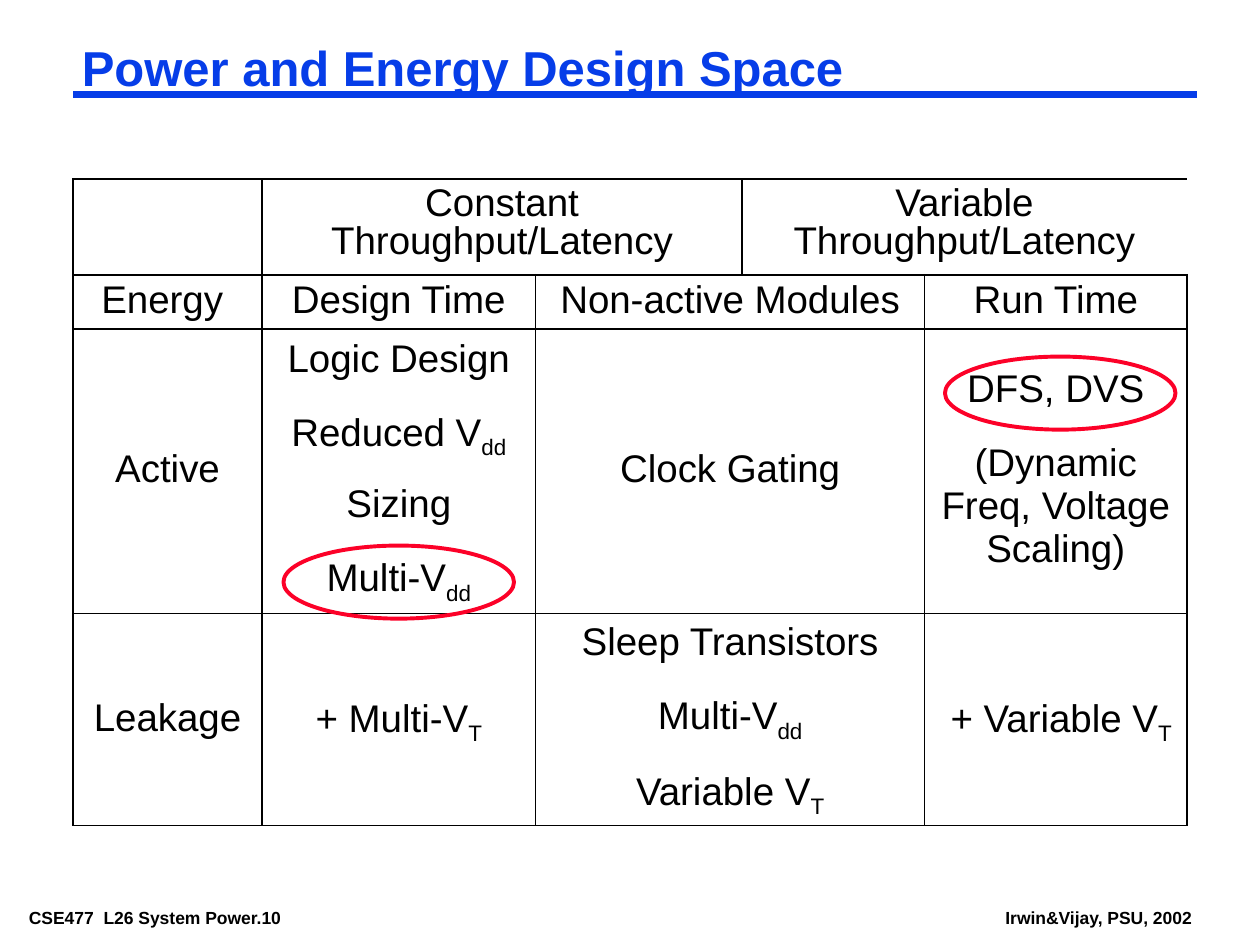
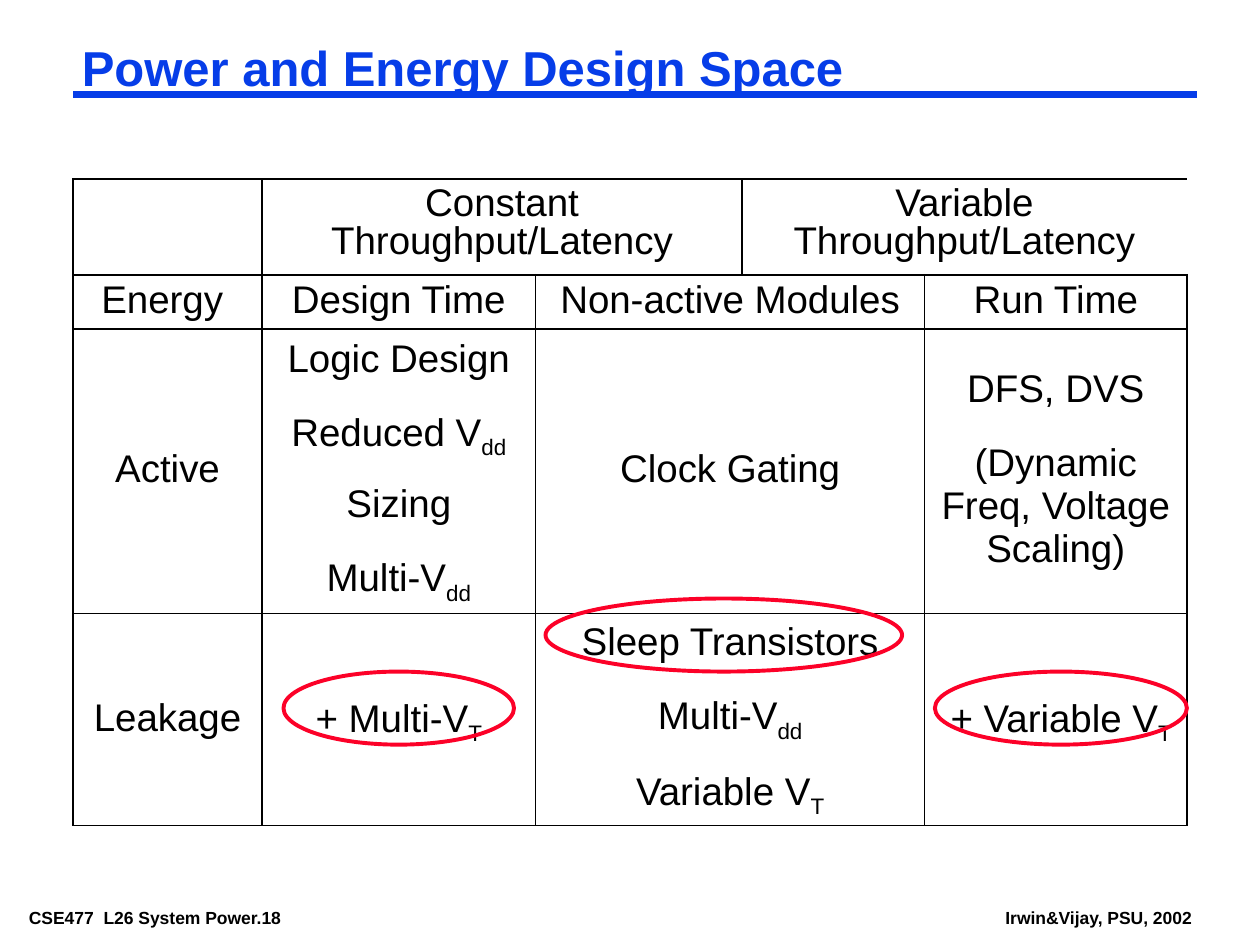
from lxml.etree import SubElement
from pptx import Presentation
from pptx.dml.color import RGBColor
from pptx.enum.shapes import MSO_CONNECTOR, MSO_SHAPE
from pptx.enum.text import MSO_ANCHOR as Anchor, PP_ALIGN as Align
from pptx.oxml.ns import qn
from pptx.util import Inches, Pt

# Shared style
BLUE = RGBColor(0x06, 0x3D, 0xE8)
RED = RGBColor(0xFC, 0x01, 0x28)
BLACK = RGBColor(0, 0, 0)
FONT = "Arial"
TITLE = "Power and Energy Design Space"
TITLE_ONLY_LAYOUT = 5
NO_TABLE_STYLE = "{2D5ABB26-0587-4C30-8999-92F81FD0307C}"

# Table geometry, with line widths in points from left to right and top to bottom
COLUMN_WIDTHS = [1.5, 2.17, 1.64, 1.45, 2.08]
ROW_HEIGHTS = [0.76, 0.43, 2.26, 1.68]
VERTICAL_LINES = [1.08, 1.47, 0.45, 0.45, 0.45, 1.08]
HORIZONTAL_LINES = [1.08, 1.08, 1.47, 0.45, 1.08]

# First column and column count of each cell
HEADER_SPANS = [(0, 1), (1, 2), (3, 2)]
BODY_SPANS = [(0, 1), (1, 1), (2, 2), (4, 1)]

# Paragraphs of each cell; an underscore starts a subscript
DESIGN_SPACE = [
    [[], ["Constant Throughput/Latency"], ["Variable Throughput/Latency"]],
    [["Energy "], ["Design Time"], ["Non-active Modules"], ["Run Time"]],
    [["Active"],
     ["Logic Design", "Reduced V_dd", "Sizing", "Multi-V_dd"],
     ["Clock Gating"],
     ["DFS, DVS", "(Dynamic Freq, Voltage Scaling)"]],
    [["Leakage"],
     ["+ Multi-V_T"],
     ["Sleep Transistors", "Multi-V_dd", "Variable V_T"],
     [" + Variable V_T"]],
]

# Page number, then left, top and width of each highlight
PAGES = [
    (10, [(2.25, 4.33, 1.83), (7.5, 2.83, 1.83)]),
    (18, [(2.25, 5.33, 1.83), (7.42, 5.33, 2), (4.33, 4.75, 2.83)]),
]


def style_font(font, size, color=BLACK, bold=False):
    font.name = FONT
    font.size = Pt(size)
    font.bold = bold
    font.color.rgb = color


def set_margins(text_frame):
    text_frame.margin_left = text_frame.margin_right = Inches(0.07)
    text_frame.margin_top = text_frame.margin_bottom = Inches(0.03)


def add_title(slide):
    title = slide.shapes.title
    title.left, title.top = Inches(0.58), Inches(0.33)
    title.width, title.height = Inches(8.92), Inches(0.46)
    text_frame = title.text_frame
    text_frame.text = TITLE
    text_frame.vertical_anchor = Anchor.TOP
    set_margins(text_frame)
    paragraph = text_frame.paragraphs[0]
    paragraph.alignment = Align.LEFT
    paragraph.line_spacing = 0.87
    style_font(paragraph.runs[0].font, 28, BLUE, bold=True)


def add_title_rule(slide):
    rule = slide.shapes.add_connector(
        MSO_CONNECTOR.STRAIGHT, Inches(0.58), Inches(0.75), Inches(9.5), Inches(0.75))
    rule.line.color.rgb = BLUE
    rule.line.width = Pt(4.5)
    SubElement(rule._element.spPr, qn("a:effectLst"))


def add_footer(slide, text, left, width):
    footer = slide.shapes.add_textbox(
        Inches(left), Inches(7.17), Inches(width), Inches(0.22))
    text_frame = footer.text_frame
    text_frame.word_wrap = True
    set_margins(text_frame)
    text_frame.text = text
    style_font(text_frame.paragraphs[0].runs[0].font, 10, bold=True)


def set_border(cell, side, width):
    properties = cell._tc.get_or_add_tcPr()
    line = SubElement(properties, qn(f"a:ln{side}"), w=str(Pt(width)))
    fill = SubElement(line, qn("a:solidFill"))
    SubElement(fill, qn("a:srgbClr"), val=str(BLACK))


def frame_span(table, row, first, count):
    """Draw the outer lines of a cell that covers count columns."""
    last = first + count - 1
    for column in range(first, last + 1):
        cell = table.cell(row, column)
        if column == first:
            set_border(cell, "L", VERTICAL_LINES[first])
        if column == last:
            set_border(cell, "R", VERTICAL_LINES[last + 1])
        set_border(cell, "T", HORIZONTAL_LINES[row])
        set_border(cell, "B", HORIZONTAL_LINES[row + 1])
        cell.fill.background()


def fill_cell(cell, lines):
    text_frame = cell.text_frame
    for index, line in enumerate(lines):
        paragraph = text_frame.add_paragraph() if index else text_frame.paragraphs[0]
        paragraph.alignment = Align.CENTER
        if index:
            paragraph.space_before = Pt(17.9)
        paragraph.line_spacing = 1.0 if line.startswith("(") else 0.9
        for part, text in enumerate(line.split("_")):
            run = paragraph.add_run()
            run.text = text
            style_font(run.font, 22)
            if part:
                run._r.get_or_add_rPr().set("baseline", "-25000")


def add_design_space_table(slide):
    frame = slide.shapes.add_table(
        len(ROW_HEIGHTS), len(COLUMN_WIDTHS), Inches(0.58), Inches(1.42),
        Inches(sum(COLUMN_WIDTHS)), Inches(sum(ROW_HEIGHTS)))
    table = frame.table
    table.first_row = table.horz_banding = False
    table._tbl.tblPr.find(qn("a:tableStyleId")).text = NO_TABLE_STYLE
    for column, width in zip(table.columns, COLUMN_WIDTHS):
        column.width = Inches(width)
    for row, height in zip(table.rows, ROW_HEIGHTS):
        row.height = Inches(height)

    for row, contents in enumerate(DESIGN_SPACE):
        spans = BODY_SPANS if row else HEADER_SPANS
        for (first, count), lines in zip(spans, contents):
            cell = table.cell(row, first)
            if count > 1:
                cell.merge(table.cell(row, first + count - 1))
            cell.vertical_anchor = Anchor.MIDDLE if row else Anchor.TOP
            fill_cell(cell, lines)
            frame_span(table, row, first, count)


def add_highlight(slide, left, top, width):
    ellipse = slide.shapes.add_shape(
        MSO_SHAPE.OVAL, Inches(left), Inches(top), Inches(width), Inches(0.58))
    ellipse.shadow.inherit = False
    ellipse.fill.background()
    ellipse.line.color.rgb = RED
    ellipse.line.width = Pt(2.25)


def main():
    presentation = Presentation()
    presentation.slide_width = Inches(10)
    presentation.slide_height = Inches(7.5)
    for number, highlights in PAGES:
        slide = presentation.slides.add_slide(
            presentation.slide_layouts[TITLE_ONLY_LAYOUT])
        add_footer(slide, f"CSE477  L26 System Power.{number}", 0.16, 2.66)
        add_footer(slide, "Irwin&Vijay, PSU, 2002", 7.91, 1.7)
        add_title_rule(slide)
        add_title(slide)
        add_design_space_table(slide)
        for left, top, width in highlights:
            add_highlight(slide, left, top, width)
    presentation.save("out.pptx")


if __name__ == "__main__":
    main()
